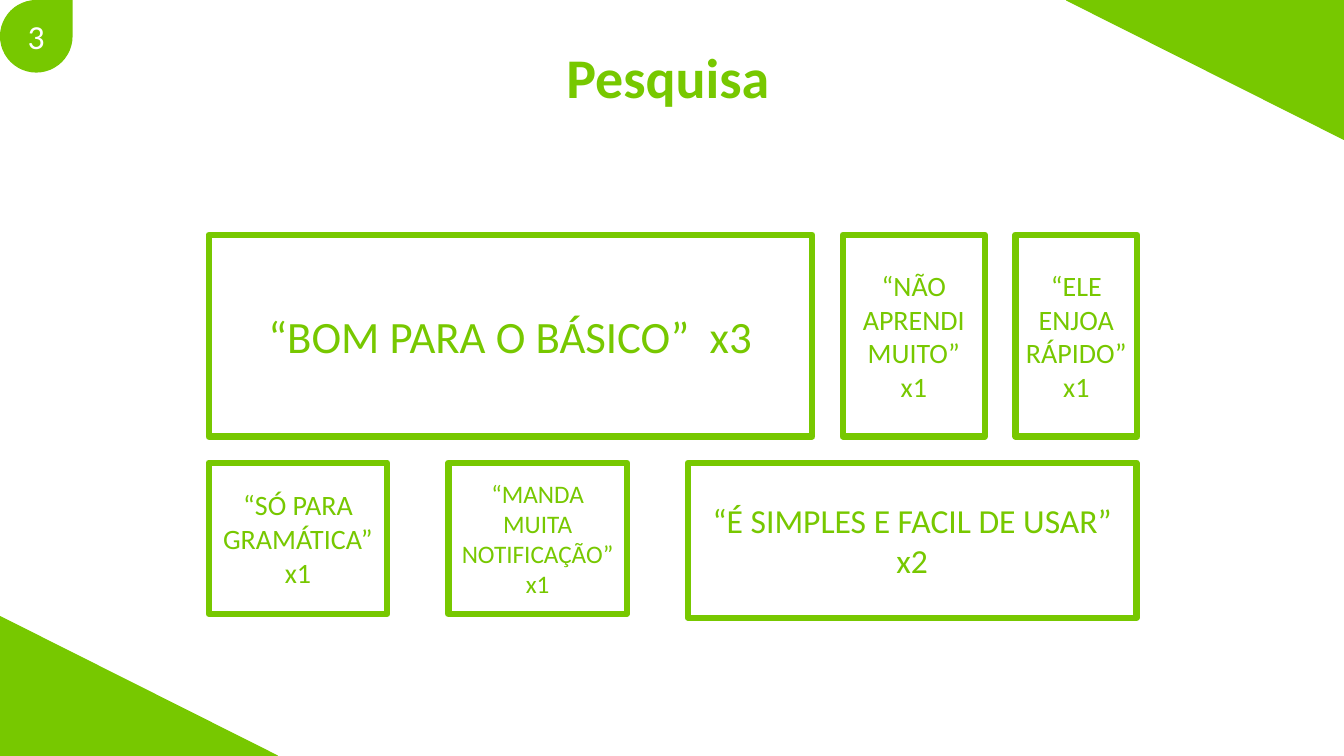
from dataclasses import dataclass

from pptx import Presentation
from pptx import util as u
from pptx.dml.color import RGBColor
from pptx.enum import shapes, text


@dataclass(frozen=True)
class Theme:
    green: RGBColor = RGBColor(0x77, 0xC8, 0x00)
    white: RGBColor = RGBColor(0xFF, 0xFF, 0xFF)
    font: str = "Calibri"
    title_size: int = 40
    number_size: int = 24
    border: float = 4.5
    edge: float = 1


@dataclass(frozen=True)
class Answer:
    lines: tuple[str, ...]
    width: float
    height: float
    size: int


@dataclass(frozen=True)
class AnswerRow:
    top: float
    gap: float
    answers: tuple[Answer, ...]


THEME = Theme()
WIDTH, HEIGHT = 33.87, 19.05
ROWS_LEFT = 5.26
CORNER_WIDTH, CORNER_HEIGHT = 6.99, 3.51
BADGE = 1.83

ROWS = (
    AnswerRow(5.92, 0.77, (
        Answer(("“BOM PARA O BÁSICO”  x3",), 15.21, 5.08, 32),
        Answer(("“NÃO APRENDI MUITO”", "x1"), 3.58, 5.08, 20),
        Answer(("“ELE ENJOA RÁPIDO”", "x1"), 3.07, 5.08, 20),
    )),
    AnswerRow(11.66, 1.54, (
        Answer(("“SÓ PARA GRAMÁTICA” x1",), 4.5, 3.81, 20),
        Answer(("“MANDA MUITA NOTIFICAÇÃO”", "x1"), 4.5, 3.81, 18),
        Answer(("“É SIMPLES E FACIL DE USAR” x2",), 11.3, 3.91, 24),
    )),
)
CORNERS = (
    ((CORNER_WIDTH, HEIGHT), (0, HEIGHT - CORNER_HEIGHT), (0, HEIGHT)),
    ((WIDTH - CORNER_WIDTH, 0), (WIDTH, CORNER_HEIGHT), (WIDTH, 0)),
)


def apply(target, values: dict) -> None:
    for name, value in values.items():
        setattr(target, name, value)


def write(shape, lines: tuple[str, ...], size: int, color: RGBColor,
          bold: bool = False, align=text.PP_ALIGN.CENTER,
          anchor=text.MSO_ANCHOR.MIDDLE) -> None:
    frame = shape.text_frame
    frame.text = "\n".join(lines)
    apply(frame, {"word_wrap": True, "vertical_anchor": anchor,
                  "auto_size": text.MSO_AUTO_SIZE.NONE})
    for paragraph in frame.paragraphs:
        paragraph.alignment = align
        font = paragraph.runs[0].font
        apply(font, {"name": THEME.font, "size": u.Pt(size), "bold": bold})
        font.color.rgb = color


def paint(shape) -> None:
    shape.shadow.inherit = False
    shape.fill.solid()
    shape.fill.fore_color.rgb = THEME.green


def outline(shape, width: float) -> None:
    shape.line.color.rgb = THEME.green
    shape.line.width = u.Pt(width)


def draw_row(slide, row: AnswerRow) -> None:
    left = ROWS_LEFT
    for answer in row.answers:
        frame = slide.shapes.add_shape(
            shapes.MSO_SHAPE.RECTANGLE, u.Cm(left), u.Cm(row.top),
            u.Cm(answer.width), u.Cm(answer.height))
        frame.shadow.inherit = False
        frame.fill.background()
        outline(frame, THEME.border)
        write(frame, answer.lines, answer.size, THEME.green)
        left += answer.width + row.gap


def draw_corner(slide, points: tuple[tuple[float, float], ...]) -> None:
    start, *others = [(u.Cm(x), u.Cm(y)) for x, y in points]
    builder = slide.shapes.build_freeform(*start)
    builder.add_line_segments(others, close=True)
    corner = builder.convert_to_shape()
    paint(corner)
    outline(corner, THEME.edge)


def draw_badge(slide, number: str) -> None:
    badge = slide.shapes.add_shape(
        shapes.MSO_SHAPE.TEAR, 0, 0, u.Cm(BADGE), u.Cm(BADGE))
    paint(badge)
    badge.line.fill.background()
    write(badge, (number,), THEME.number_size, THEME.white)


def draw_title(slide, heading: str) -> None:
    title = slide.shapes.title
    apply(title, {"left": u.Cm(14.02), "top": u.Cm(0.94),
                  "width": u.Cm(5.82), "height": u.Cm(1.96)})
    write(title, (heading,), THEME.title_size, THEME.green, bold=True,
          align=text.PP_ALIGN.LEFT, anchor=text.MSO_ANCHOR.TOP)


def main() -> None:
    deck = Presentation()
    apply(deck, {"slide_width": u.Cm(WIDTH), "slide_height": u.Cm(HEIGHT)})
    slide = deck.slides.add_slide(deck.slide_layouts.get_by_name("Title Only"))
    for row in ROWS:
        draw_row(slide, row)
    draw_badge(slide, "3")
    draw_title(slide, "Pesquisa")
    for points in CORNERS:
        draw_corner(slide, points)
    deck.save("out.pptx")


if __name__ == "__main__":
    main()
